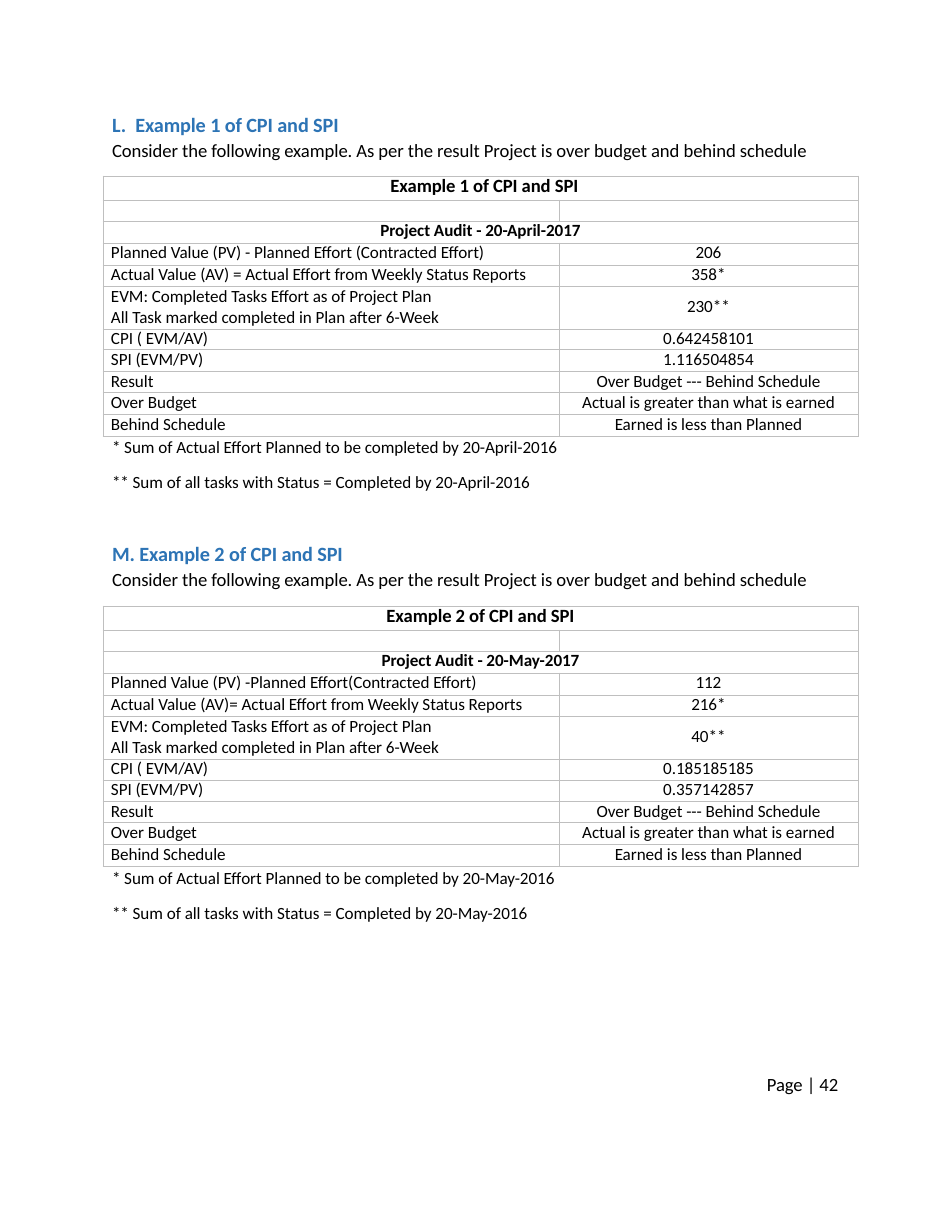
import pptx
import pptx.util
import pptx.dml.color
import pptx.enum.text
import lxml.etree

INTRO = "Consider the following example. As per the result Project is over budget and behind schedule"
EVM = "EVM: Completed Tasks Effort as of Project Plan\nAll Task marked completed in Plan after 6-Week"
VERDICT = [
    ("Result", "Over Budget --- Behind Schedule"),
    ("Over Budget", "Actual is greater than what is earned"),
    ("Behind Schedule", "Earned is less than Planned"),
]
SECTIONS = [
    {
        "label": "L.", "gap": 2.9, "title": "Example 1 of CPI and SPI", "title_inset": 8,
        "tops": (112, 176, 436),
        "audit": "Project Audit - 20-April-2017",
        "measures": [
            ("Planned Value (PV) - Planned Effort (Contracted Effort)", "206"),
            ("Actual Value (AV) = Actual Effort from Weekly Status Reports", "358*"),
            (EVM, "230**"),
            ("CPI ( EVM/AV)", "0.642458101"),
            ("SPI (EVM/PV)", "1.116504854"),
        ],
        "deadline": "20-April-2016",
    },
    {
        "label": "M.", "gap": 0, "title": "Example 2 of CPI and SPI", "title_inset": 0,
        "tops": (541, 606, 867),
        "audit": "Project Audit - 20-May-2017",
        "measures": [
            ("Planned Value (PV) -Planned Effort(Contracted Effort)", "112"),
            ("Actual Value (AV)= Actual Effort from Weekly Status Reports", "216*"),
            (EVM, "40**"),
            ("CPI ( EVM/AV)", "0.185185185"),
            ("SPI (EVM/PV)", "0.357142857"),
        ],
        "deadline": "20-May-2016",
    },
]
NOTES = ["* Sum of Actual Effort Planned to be completed by {}",
         "** Sum of all tasks with Status = Completed by {}"]

TABLE_LEFT, COLUMNS = 103, (456, 299)
ROWS = (24, 21, 22, 22, 21, 43, 21, 22, 21, 22, 22)
TEXT_LEFT, TEXT_WIDTH = 112, 709
TIGHT = -0.05
HEADING = {"size": 13, "bold": True, "color": "2D74B5"}
BODY = {"size": 12, "bold": False, "color": "000000"}
SMALL = {"size": 11, "bold": False, "color": "000000"}
TABLE_TITLE = {**BODY, "bold": True}
TABLE_AUDIT = {**SMALL, "bold": True}
CENTER = pptx.enum.text.PP_ALIGN.CENTER
LEFT = pptx.enum.text.PP_ALIGN.LEFT
A = "{http://schemas.openxmlformats.org/drawingml/2006/main}"


def px(count):
    return pptx.util.Emu(round(count * 914400 / 112))


def rgb(code):
    return pptx.dml.color.RGBColor.from_string(code)


def write(para, text, style, spacing=TIGHT):
    span = para.add_run()
    span.text = text
    formats = {"name": "Calibri", "size": pptx.util.Pt(style["size"]), "bold": style["bold"]}
    for name, value in formats.items():
        setattr(span.font, name, value)
    span.font.color.rgb = rgb(style["color"])
    span._r.get_or_add_rPr().set("spc", str(round(spacing * 100)))


def add_box(page, left, top, width, height):
    frame = page.shapes.add_textbox(px(left), px(top), px(width), px(height)).text_frame
    frame.word_wrap = True
    for side in ("left", "top", "right", "bottom"):
        setattr(frame, "margin_" + side, 0)
    return frame


def add_para(frame, before):
    para = frame.add_paragraph()
    para.space_before = pptx.util.Pt(before)
    return para


def format_cell(cell, inset):
    formats = {"margin_left": px(inset), "margin_right": 0, "margin_top": 0, "margin_bottom": 0}
    for name, value in formats.items():
        setattr(cell, name, value)
    props = cell._tc.get_or_add_tcPr()
    for side in ("lnL", "lnR", "lnT", "lnB"):
        line = lxml.etree.SubElement(props, A + side, w="6350")
        fill = lxml.etree.SubElement(line, A + "solidFill")
        lxml.etree.SubElement(fill, A + "srgbClr", val="BFBFBF")
    cell.fill.background()


def fill_cell(cell, text, style, align, leading):
    frame = cell.text_frame
    lines = text.split("\n")
    for index, line in enumerate(lines):
        para = add_para(frame, 0.2) if index else frame.paragraphs[0]
        para.alignment = align
        if len(lines) == 1:
            para.line_spacing = pptx.util.Pt(leading)
        write(para, line, style)


def add_audit_table(page, section, top):
    rows = [(section["title"], ""), ("", ""), (section["audit"], "")]
    rows += section["measures"] + VERDICT
    table = page.shapes.add_table(len(ROWS), len(COLUMNS), px(TABLE_LEFT), px(top),
                                  px(sum(COLUMNS)), px(sum(ROWS))).table
    table.first_row = table.horz_banding = False
    for column, width in zip(table.columns, COLUMNS):
        column.width = px(width)
    for index, (height, texts) in enumerate(zip(ROWS, rows)):
        table.rows[index].height = px(height)
        wide = bool(texts[0]) and not texts[1]
        for column, text in enumerate(texts):
            cell = table.cell(index, column)
            centered = wide or column == 1
            inset = section["title_inset"] if index == 0 else 0 if centered else 8
            format_cell(cell, inset)
            if not text:
                ending = lxml.etree.SubElement(cell.text_frame.paragraphs[0]._p, A + "endParaRPr")
                ending.set("sz", "1000")
                continue
            style = TABLE_TITLE if index == 0 else TABLE_AUDIT if wide else SMALL
            fill_cell(cell, text, style, CENTER if centered else LEFT, 14.1 if index == 0 else 12.8)
            if texts[0] == EVM and column == 1:
                cell.vertical_anchor = pptx.enum.text.MSO_ANCHOR.MIDDLE
        if wide:
            table.cell(index, 0).merge(table.cell(index, 1))


def add_section(page, section):
    heading_top, table_top, notes_top = section["tops"]
    frame = add_box(page, TEXT_LEFT, heading_top, TEXT_WIDTH, 52)
    para = frame.paragraphs[0]
    write(para, section["label"], HEADING)
    write(para, " ", HEADING, section["gap"])
    write(para, section["title"], HEADING)
    write(add_para(frame, 1.5), INTRO, BODY)

    add_audit_table(page, section, table_top)

    frame = add_box(page, TEXT_LEFT, notes_top, TEXT_WIDTH, 58)
    for index, note in enumerate(NOTES):
        para = add_para(frame, 9.3) if index else frame.paragraphs[0]
        write(para, note.format(section["deadline"]), SMALL)


def main():
    deck = pptx.Presentation()
    deck.slide_width, deck.slide_height = px(952), px(1232)
    page = deck.slides.add_slide(deck.slide_layouts[6])
    for section in SECTIONS:
        add_section(page, section)
    para = add_box(page, 767, 1076, 80, 21).paragraphs[0]
    para.line_spacing = pptx.util.Pt(12.4)
    write(para, "Page | 42", BODY)
    deck.save("out.pptx")


if __name__ == "__main__":
    main()
